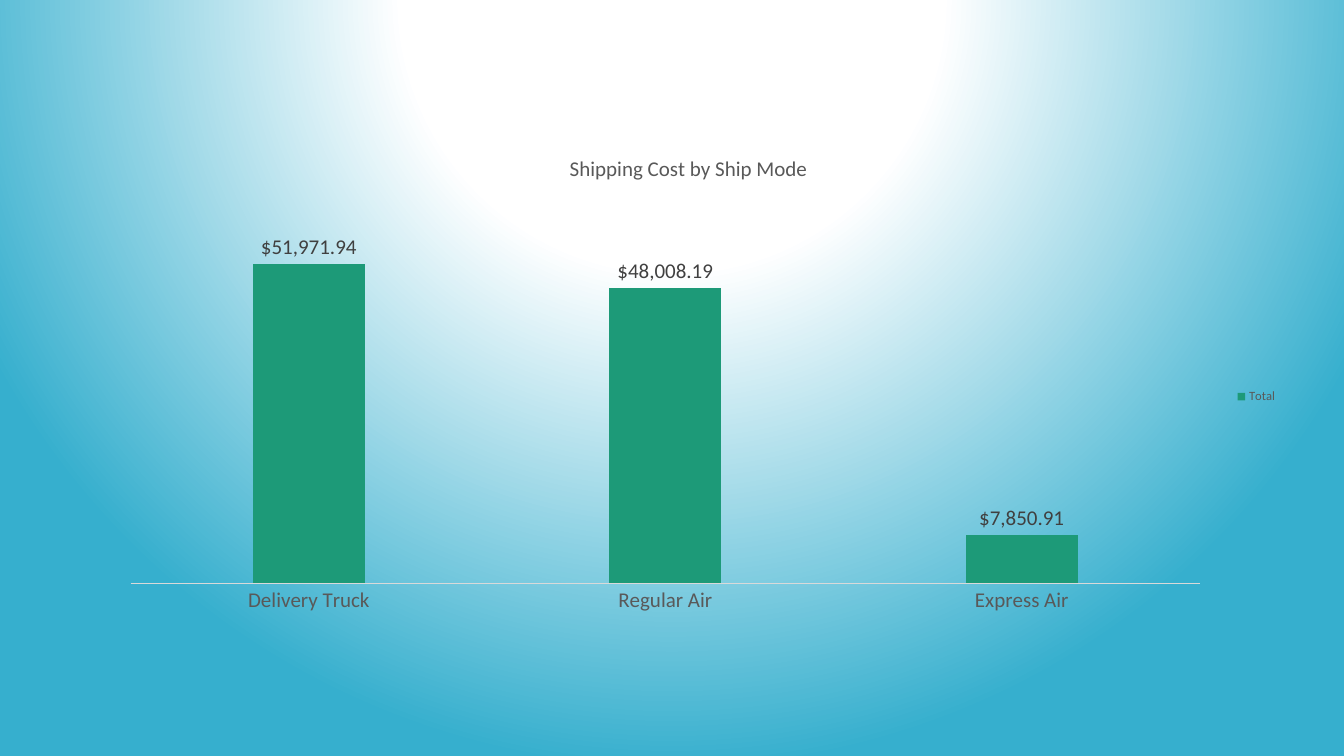
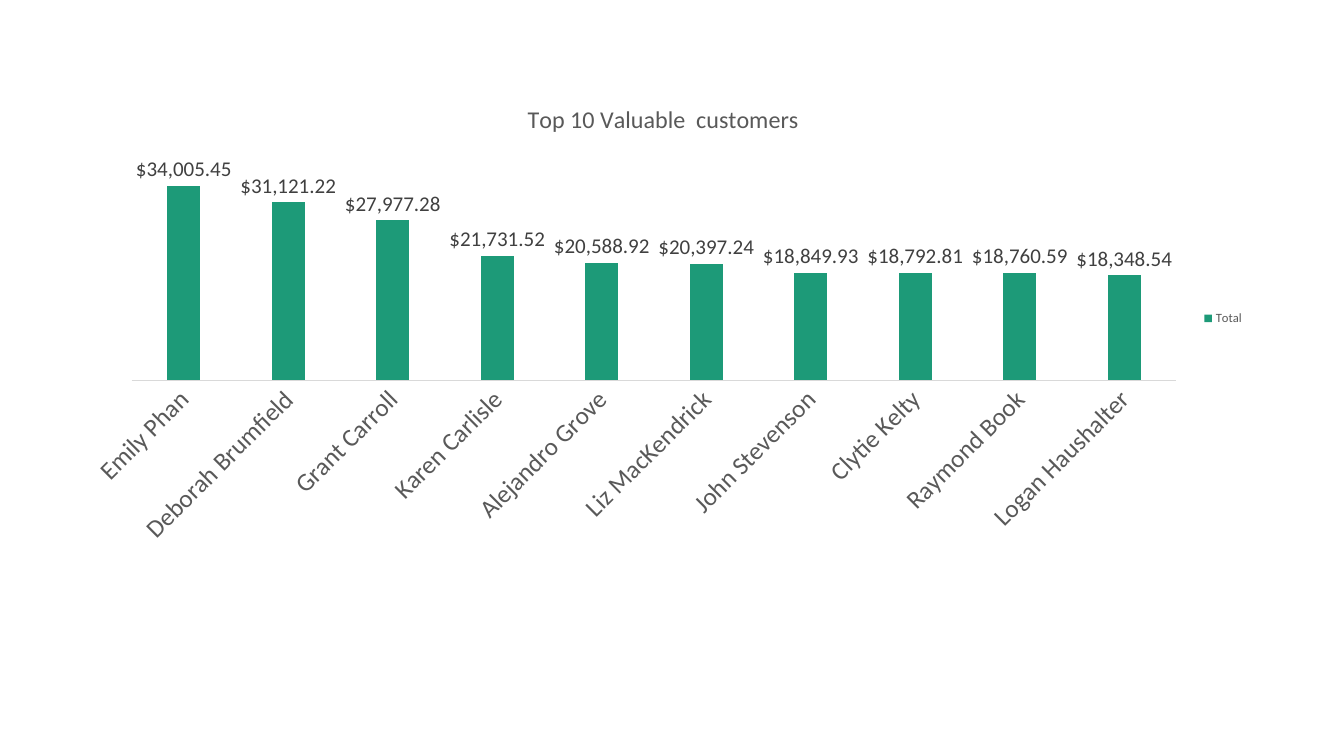
from pptx import Presentation
from pptx.chart.data import CategoryChartData
from pptx.dml.color import RGBColor
from pptx.enum.chart import (XL_CHART_TYPE, XL_LABEL_POSITION,
                             XL_LEGEND_POSITION, XL_TICK_MARK)
from pptx.oxml import parse_xml
from pptx.oxml.ns import nsdecls, qn
from pptx.util import Inches, Pt

# Shared style
FONT = "Calibri"
BLACK = RGBColor(0x00, 0x00, 0x00)
WHITE = RGBColor(0xFF, 0xFF, 0xFF)
SKY = RGBColor(0x36, 0xAF, 0xCE)
GREEN = RGBColor(0x1D, 0x9A, 0x78)
GREY = RGBColor(0x59, 0x59, 0x59)
DARK_GREY = RGBColor(0x40, 0x40, 0x40)
LINE_GREY = RGBColor(0xD9, 0xD9, 0xD9)
DOLLARS = "[$$-1009]#,##0.00"

SHIPPING_COSTS = {
    "Delivery Truck": 51971.94,
    "Regular Air": 48008.19,
    "Express Air": 7850.91,
}
TOP_CUSTOMERS = {
    "Emily Phan": 34005.45,
    "Deborah Brumfield": 31121.22,
    "Grant Carroll": 27977.28,
    "Karen Carlisle": 21731.52,
    "Alejandro Grove": 20588.92,
    "Liz MacKendrick": 20397.24,
    "John Stevenson": 18849.93,
    "Clytie Kelty": 18792.81,
    "Raymond Book": 18760.59,
    "Logan Haushalter": 18348.54,
}


def style_font(font, size, color):
    font.name = FONT
    font.size = Pt(size)
    font.color.rgb = color
    font.bold = False


def set_glow_background(slide):
    """White glow at the top centre, fading to sky blue."""
    stops = "".join(
        f'<a:gs pos="{share * 1000}"><a:srgbClr val="{color}"/></a:gs>'
        for share, color in ((0, WHITE), (35, WHITE), (100, SKY)))
    background = parse_xml(
        f'<p:bg {nsdecls("p", "a")}><p:bgPr><a:gradFill rotWithShape="1">'
        f'<a:gsLst>{stops}</a:gsLst><a:path path="circle">'
        '<a:fillToRect l="50000" t="-80000" r="50000" b="180000"/>'
        '</a:path></a:gradFill><a:effectLst/></p:bgPr></p:bg>')
    slide.element.cSld.insert(0, background)


def place_part(chart, tag, index, target="", **percents):
    """Place the title or plot area, in percent of the chart box."""
    part = chart.element.find(f".//{qn(tag)}")
    for old in part.findall(qn("c:layout")):
        part.remove(old)
    places = "".join(f'<c:{side} val="{percent / 100:.3f}"/>'
                     for side, percent in percents.items())
    part.insert(index, parse_xml(
        f'<c:layout {nsdecls("c")}><c:manualLayout>{target}'
        f'<c:xMode val="edge"/><c:yMode val="edge"/>{places}'
        '</c:manualLayout></c:layout>'))


def add_title(chart, text, size, left, top):
    span = chart.chart_title.text_frame.paragraphs[0].add_run()
    span.text = text
    style_font(span.font, size, GREY)
    chart.chart_title.include_in_layout = False
    place_part(chart, "c:title", 1, x=left, y=top)


def style_axes(chart, label_size):
    names = chart.category_axis
    names.major_tick_mark = names.minor_tick_mark = XL_TICK_MARK.NONE
    names.format.line.color.rgb = LINE_GREY
    names.format.line.width = Pt(0.75)
    style_font(names.tick_labels.font, label_size, GREY)
    chart.value_axis.visible = False
    chart.value_axis.minimum_scale = 0
    chart.value_axis.has_major_gridlines = False


def style_bars(chart):
    plot = chart.plots[0]
    plot.gap_width, plot.overlap = 219, -27
    plot.vary_by_categories = False
    bars = plot.series[0]
    bars.format.fill.solid()
    bars.format.fill.fore_color.rgb = GREEN
    labels = bars.data_labels
    labels.show_value = True
    labels.position = XL_LABEL_POSITION.OUTSIDE_END
    labels.number_format = DOLLARS
    labels.number_format_is_linked = False
    style_font(labels.font, 15, DARK_GREY)


def add_legend(chart):
    chart.has_legend = True
    chart.legend.position = XL_LEGEND_POSITION.RIGHT
    chart.legend.include_in_layout = False
    style_font(chart.legend.font, 9, GREY)


def add_bar_chart(slide, box, values, title, label_size):
    """One column chart with its title, labels and legend in the box."""
    data = CategoryChartData(number_format=DOLLARS)
    data.categories = list(values)
    data.add_series("Total", list(values.values()))
    chart = slide.shapes.add_chart(XL_CHART_TYPE.COLUMN_CLUSTERED,
                                   *map(Inches, box), data).chart
    style_font(chart.font, 10, BLACK)
    add_title(chart, *title)
    style_axes(chart, label_size)
    style_bars(chart)
    add_legend(chart)
    return chart


def build_shipping_slide(deck):
    slide = deck.slides.add_slide(deck.slide_layouts[6])
    set_glow_background(slide)
    chart = add_bar_chart(
        slide, (0.88, 1.33, 11.89, 5.21), SHIPPING_COSTS,
        ("Shipping Cost by Ship Mode", 15, 39.8, 3.1), 15)
    place_part(chart, "c:plotArea", 0, '<c:layoutTarget val="inner"/>',
               x=3.5, y=15.3, w=89.2, h=70.3)


def build_customers_slide(deck):
    slide = deck.slides.add_slide(deck.slide_layouts[6])
    slide.background.fill.solid()
    slide.background.fill.fore_color.rgb = WHITE
    add_bar_chart(slide, (0.69, 0.83, 11.75, 4.66), TOP_CUSTOMERS,
                  ("Top 10 Valuable  customers", 17.2, 38.3, 3.1), 18)


def main():
    deck = Presentation()
    deck.slide_width, deck.slide_height = Inches(13.33), Inches(7.5)
    build_shipping_slide(deck)
    build_customers_slide(deck)
    deck.save("out.pptx")


if __name__ == "__main__":
    main()
